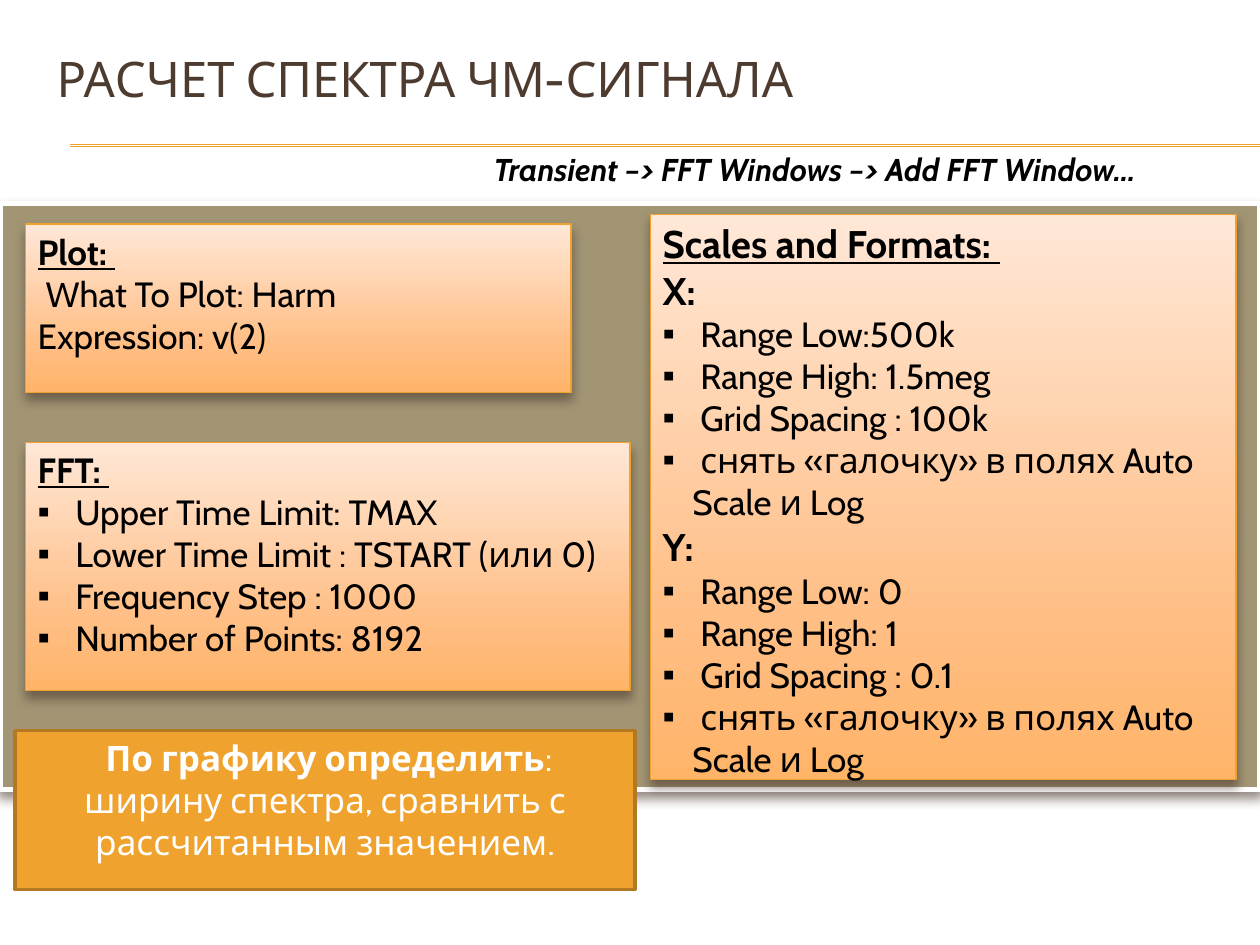
from lxml import etree
from pptx import Presentation
from pptx import util as u
from pptx.dml import color
from pptx.enum import shapes, text
from pptx.oxml import ns, parse_xml

COLORS = {"title": "4E3B30", "accent": "F0A22E", "accent_dark": "B27822",
          "panel": "A19574", "white": "FFFFFF", "black": "000000"}
CARD_STOPS = [(0, "FFE7D7"), (72, "FFBE84"), (100, "FFB468")]
FONT = "Cabin"


def add_block(left, top, width, height, fill, line, line_width, shadow=True):
    """Draw a rectangle in Cm; without a fill it gets the card gradient."""
    block = slide.shapes.add_shape(shapes.MSO_SHAPE.RECTANGLE, u.Cm(left), u.Cm(top),
                                   u.Cm(width), u.Cm(height))
    block.shadow.inherit = False
    block.line.color.rgb = color.RGBColor.from_string(COLORS[line])
    block.line.width = u.Pt(line_width)
    properties = block._element.spPr
    if fill:
        block.fill.solid()
        block.fill.fore_color.rgb = color.RGBColor.from_string(COLORS[fill])
    else:
        stops = "".join(f'<a:gs pos="{pos * 1000}"><a:srgbClr val="{tint}"/></a:gs>'
                        for pos, tint in CARD_STOPS)
        properties.find(ns.qn("a:prstGeom")).addnext(parse_xml(
            f'<a:gradFill {ns.nsdecls("a")} rotWithShape="1"><a:gsLst>{stops}</a:gsLst>'
            '<a:lin ang="5400000" scaled="0"/></a:gradFill>'))
    if shadow:
        properties.find(ns.qn("a:effectLst")).append(parse_xml(
            f'<a:outerShdw {ns.nsdecls("a")} blurRad="{u.Pt(6)}" dist="{u.Pt(4)}" '
            f'dir="5400000" rotWithShape="0"><a:srgbClr val="{COLORS["title"]}">'
            '<a:alpha val="60000"/></a:srgbClr></a:outerShdw>'))
    block.text_frame.word_wrap = True
    block.text_frame.vertical_anchor = text.MSO_ANCHOR.TOP
    return block


def add_run(paragraph, words, size, tint="black", bold=False, italic=False, underline=False):
    run = paragraph.add_run()
    run.text = words
    run.font.name = FONT
    run.font.size = u.Pt(size)
    run.font.color.rgb = color.RGBColor.from_string(COLORS[tint])
    run.font.bold, run.font.italic, run.font.underline = bold, italic, underline


prs = Presentation()
prs.slide_width, prs.slide_height = u.Cm(25.4), u.Cm(19.05)
slide = prs.slides.add_slide(prs.slide_layouts[6])

# Double rule under the title
for rule_y in (2.92, 2.95):
    rule = slide.shapes.add_connector(shapes.MSO_CONNECTOR.STRAIGHT, u.Cm(1.42),
                                      u.Cm(rule_y), u.Cm(25.4), u.Cm(rule_y))
    rule.line.color.rgb = color.RGBColor.from_string(COLORS["accent"])
    rule.line.width = u.Pt(0.75)
    etree.SubElement(rule._element.spPr, ns.qn("a:effectLst"))

# Background panel
add_block(0, 4.11, 25.4, 11.81, "panel", "white", 3)

# Settings cards: place, then (kind, words) for each line
cards = [
    ((0.51, 4.52, 11, 3.4), 20, [
        ("heading", "Plot: "), ("plain", " What To Plot: Harm"), ("plain", "Expression: v(2)")]),
    ((0.51, 8.92, 12.19, 5), 20, [
        ("heading", "FFT: "),
        ("bullet", " Upper Time Limit: TMAX"),
        ("bullet", " Lower Time Limit : TSTART (или 0)"),
        ("bullet", " Frequency Step : 1000"),
        ("bullet", " Number of Points: 8192")]),
    ((13.11, 4.32, 11.81, 11.4), 22, [
        ("heading", "Scales and Formats: "),
        ("axis", "X:"),
        ("bullet", " Range Low:500k"),
        ("bullet", " Range High: 1.5meg"),
        ("bullet", " Grid Spacing : 100k"),
        ("bullet", " снять «галочку» в полях Auto Scale и Log"),
        ("axis", "Y:"),
        ("bullet", " Range Low: 0"),
        ("bullet", " Range High: 1"),
        ("bullet", " Grid Spacing : 0.1"),
        ("bullet", " снять «галочку» в полях Auto Scale и Log")]),
]
for place, heading_size, lines in cards:
    frame = add_block(*place, None, "accent", 0.79).text_frame
    for index, (kind, words) in enumerate(lines):
        setting = frame.add_paragraph() if index else frame.paragraphs[0]
        setting.alignment = text.PP_ALIGN.LEFT
        strong = kind in ("heading", "axis")
        add_run(setting, words, heading_size if strong else 20, bold=strong,
                underline=kind == "heading")
        if kind == "bullet":
            layout = setting._p.get_or_add_pPr()
            layout.set("marL", str(u.Cm(0.6)))
            layout.set("indent", str(-u.Cm(0.6)))
            etree.SubElement(layout, ns.qn("a:buFont")).set("typeface", "Wingdings")
            layout[-1].set("typeface", "Arial")
            etree.SubElement(layout, ns.qn("a:buChar")).set("char", "▪")

# Title
title = slide.shapes.add_textbox(u.Cm(0.89), u.Cm(0.41), u.Cm(24.13), u.Cm(2.34)).text_frame
title.word_wrap = True
title.vertical_anchor = text.MSO_ANCHOR.MIDDLE
add_run(title.paragraphs[0], "РАСЧЕТ СПЕКТРА ЧМ-СИГНАЛА", 28, "title")

# Menu route
route = slide.shapes.add_textbox(u.Cm(9.7), u.Cm(2.9), u.Cm(13.74), u.Cm(1.02)).text_frame
route.word_wrap = False
route.auto_size = text.MSO_AUTO_SIZE.SHAPE_TO_FIT_TEXT
add_run(route.paragraphs[0], "Transient –> FFT Windows –> Add FFT Window…", 18,
        bold=True, italic=True)

# Task
task = add_block(0.3, 14.73, 12.5, 3.2, "accent", "accent_dark", 2, shadow=False).text_frame
task_lines = [[(" ", False), ("По графику определить", True), (":", False)],
              [("ширину спектра, сравнить с рассчитанным значением.", False)]]
for index, runs in enumerate(task_lines):
    line = task.add_paragraph() if index else task.paragraphs[0]
    line.alignment = text.PP_ALIGN.CENTER
    for words, bold in runs:
        add_run(line, words, 20, "white", bold=bold)

prs.save("out.pptx")
